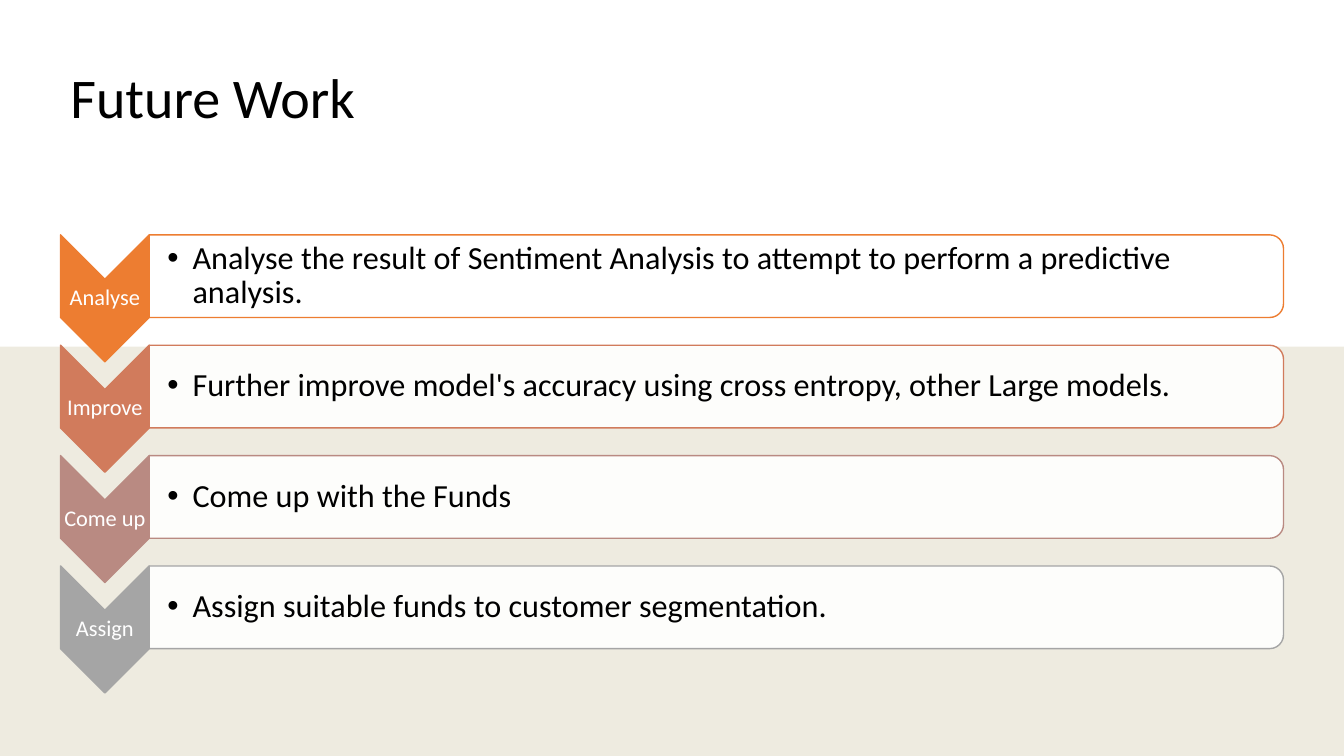
from lxml import etree
from pptx import Presentation
from pptx import util as u
from pptx.dml.color import RGBColor
from pptx.enum import shapes, text
from pptx.oxml.ns import qn

COLOURS = {
    "black": "000000", "white": "FFFFFF", "paper": "F2F2F2", "tint": "BF9000",
    "orange": "ED7D31", "coral": "D17B5C", "rose": "B98A82", "grey": "A5A5A5",
}
STEPS = [
    ("Analyse", "orange", "Analyse the result of Sentiment Analysis to attempt "
                          "to perform a predictive analysis."),
    ("Improve", "coral", "Further improve model's accuracy using cross entropy, "
                         "other Large models."),
    ("Come up", "rose", "Come up with the Funds"),
    ("Assign", "grey", "Assign suitable funds to customer segmentation."),
]
WIDTH, HEIGHT = 13.33, 7.5
STEP_TOP, STEP_PITCH = 2.33, 1.095
ROUNDED = shapes.MSO_SHAPE.ROUND_2_SAME_RECTANGLE


class SlideBuilder:
    font = "Calibri"
    line_spacing = 0.9

    def __init__(self, page):
        self.page = page

    def colour(self, name):
        return RGBColor.from_string(COLOURS[name])

    def shape(self, kind, left, top, width, height, fill, line=None, alpha=None, rotation=0):
        shape = self.page.shapes.add_shape(
            kind, *map(u.Inches, (left, top, width, height)))
        shape.shadow.inherit = False
        shape.rotation = rotation
        shape.fill.solid()
        shape.fill.fore_color.rgb = self.colour(fill)
        if alpha is not None:
            colour = shape.fill._xPr.find(qn("a:solidFill"))[0]
            etree.SubElement(colour, qn("a:alpha"), val=str(alpha * 1000))
        if line:
            shape.line.color.rgb = self.colour(line)
            shape.line.width = u.Pt(1)
        else:
            shape.line.fill.background()

    def rectangle(self, height, fill, alpha=None):
        self.shape(shapes.MSO_SHAPE.RECTANGLE, 0, 0, WIDTH, height, fill, alpha=alpha)

    def turned(self, kind, left, top, width, height, fill, line, alpha=None):
        """Add a shape turned a quarter; the frame is the one seen on the page."""
        shift = (width - height) / 2
        self.shape(kind, left + shift, top - shift, height, width, fill, line, alpha, 90)

    def text(self, words, left, top, width, height, size, colour="black",
             margins=(0.1, 0.05, 0.1, 0.05), align=text.PP_ALIGN.LEFT, bullet=False):
        box = self.page.shapes.add_textbox(*map(u.Inches, (left, top, width, height)))
        frame = box.text_frame
        frame.word_wrap = True
        frame.vertical_anchor = text.MSO_ANCHOR.MIDDLE
        (frame.margin_left, frame.margin_top,
         frame.margin_right, frame.margin_bottom) = map(u.Inches, margins)
        para = frame.paragraphs[0]
        para.text = words
        para.alignment = align
        para.line_spacing = self.line_spacing
        if bullet:
            props = para._p.get_or_add_pPr()
            props.set("marL", str(u.Inches(0.25)))
            props.set("indent", str(u.Inches(-0.25)))
            etree.SubElement(props, qn("a:buFont"), typeface="Arial")
            etree.SubElement(props, qn("a:buChar"), char="•")
        para.font.name = self.font
        para.font.size = u.Pt(size)
        para.font.color.rgb = self.colour(colour)

    def step(self, top, label, colour, words):
        self.turned(shapes.MSO_SHAPE.CHEVRON, 0.6, top, 0.88, 1.26, colour, colour)
        self.text(label, 0.6, top + 0.44, 0.88, 0.38, 16, "white",
                  (0.01,) * 4, text.PP_ALIGN.CENTER)
        self.turned(ROUNDED, 1.48, top, 11.25, 0.82, "white", colour, 90)
        self.text(words, 1.48, top + 0.04, 11.21, 0.74, 23,
                  margins=(0.18, 0.02, 0.02, 0.02), bullet=True)


def main():
    deck = Presentation()
    deck.slide_width, deck.slide_height = u.Inches(WIDTH), u.Inches(HEIGHT)
    builder = SlideBuilder(deck.slides.add_slide(deck.slide_layouts[6]))

    # Backdrop
    builder.rectangle(HEIGHT, "paper")
    builder.rectangle(HEIGHT, "tint", alpha=7)
    builder.rectangle(3.44, "white")

    # Title
    builder.text("Future Work", 0.6, 0.27, 12.13, 1.45, 40)

    # Steps
    for row, (label, colour, words) in enumerate(STEPS):
        builder.step(STEP_TOP + row * STEP_PITCH, label, colour, words)

    deck.save("out.pptx")


if __name__ == "__main__":
    main()
